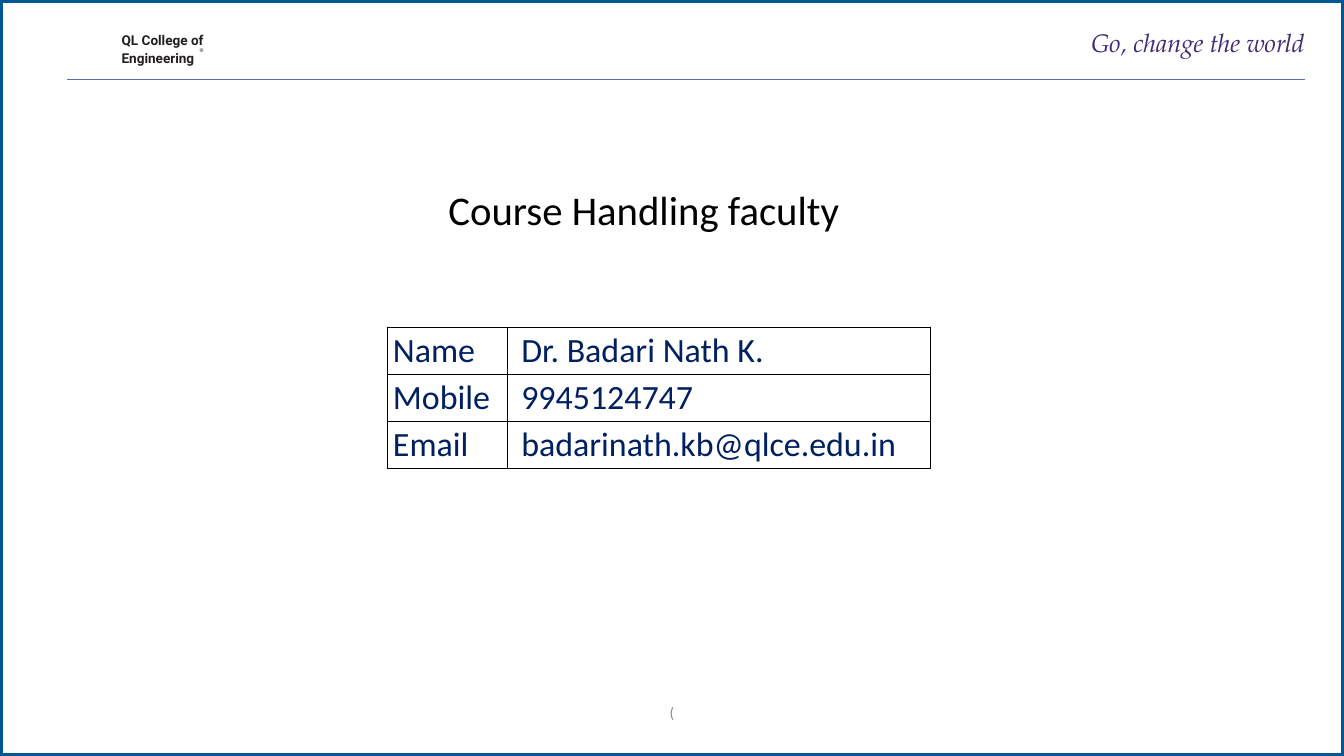
from lxml import etree
from pptx import Presentation
from pptx.dml.color import RGBColor
from pptx.enum import shapes, text
from pptx.oxml import ns
from pptx.util import Inches, Pt


def rgb(value):
    return RGBColor.from_string(value)


def add_text(box, lines, size, font_name, color, align, bold=False, italic=False):
    """Add a text box without margins, one paragraph for each line."""
    frame = slide.shapes.add_textbox(*map(Inches, box)).text_frame
    frame.word_wrap = True
    frame.margin_left = frame.margin_right = frame.margin_top = frame.margin_bottom = 0
    frame.text = "\n".join(lines)
    for paragraph in frame.paragraphs:
        paragraph.alignment = align
        font = paragraph.font
        font.size, font.name, font.color.rgb = Pt(size), font_name, rgb(color)
        font.bold, font.italic = bold, italic
    return frame


LEFT, CENTER, RIGHT = text.PP_ALIGN.LEFT, text.PP_ALIGN.CENTER, text.PP_ALIGN.RIGHT

presentation = Presentation()
presentation.slide_width, presentation.slide_height = Inches(21.99), Inches(12.37)
slide = presentation.slides.add_slide(presentation.slide_layouts[6])

border = slide.shapes.add_shape(
    shapes.MSO_SHAPE.RECTANGLE, 0, 0, presentation.slide_width, presentation.slide_height)
border.shadow.inherit = False
border.fill.solid()
border.fill.fore_color.rgb = rgb("FFFFFF")
border.line.color.rgb = rgb("005893")
border.line.width = Pt(6)

# Header
college = add_text((1.99, 0.49, 1.5, 0.6), ["QL College of", "Engineering"],
                   16, "Roboto", "231F20", LEFT, bold=True)
college.margin_top = Inches(0.02)
for paragraph in college.paragraphs:
    paragraph.line_spacing = 1.06
college.paragraphs[1].space_before = Pt(1)

mark = add_text((3.2, 0.77, 0.2, 0.1), ["®"], 6, "Roboto", "231F20", CENTER)
mark.vertical_anchor = text.MSO_ANCHOR.MIDDLE

rule = slide.shapes.add_connector(
    shapes.MSO_CONNECTOR.STRAIGHT, Inches(1.1), Inches(1.3), Inches(21.36), Inches(1.3))
rule.line.color.rgb = rgb("5E6DB3")
rule.line.width = Pt(1.25)
etree.SubElement(rule.element.spPr, ns.qn("a:effectLst"))

add_text((17.33, 0.45, 4.02, 2.07), ["Go, change the world"],
         30, "TeX Gyre Pagella", "422C75", RIGHT, italic=True)

# Faculty details
add_text((6.91, 3.03, 7.25, 1.61), ["Course Handling faculty"],
         48, "Calibri", "000000", CENTER)

details = [
    ("Name", "Dr. Badari Nath K."),
    ("Mobile", "9945124747"),
    ("Email", "badarinath.kb@qlce.edu.in"),
]
column_widths = (1.97, 6.93)
left_margins = (0.1, 0.23)
row_height = 0.77

table = slide.shapes.add_table(
    len(details), len(column_widths), Inches(6.33), Inches(5.35),
    Inches(sum(column_widths)), Inches(row_height * len(details))).table
table.first_row = table.horz_banding = False
for column, width in zip(table.columns, column_widths):
    column.width = Inches(width)

for row, values in zip(table.rows, details):
    for cell, value, margin in zip(row.cells, values, left_margins):
        cell.text = value
        cell.margin_left = Inches(margin)
        font = cell.text_frame.paragraphs[0].font
        font.size, font.name, font.color.rgb = Pt(40), "Calibri", rgb("002060")
        properties = cell._tc.get_or_add_tcPr()
        for side in ("a:lnL", "a:lnR", "a:lnT", "a:lnB"):
            line = etree.SubElement(properties, ns.qn(side), w=str(Pt(0.96)))
            fill = etree.SubElement(line, ns.qn("a:solidFill"))
            etree.SubElement(fill, ns.qn("a:srgbClr"), val="000000")
        cell.fill.background()

# Footer
add_text((7.48, 11.5, 7.03, 0.3), ["("], 18, "Calibri", "898989", CENTER)

presentation.save("out.pptx")
